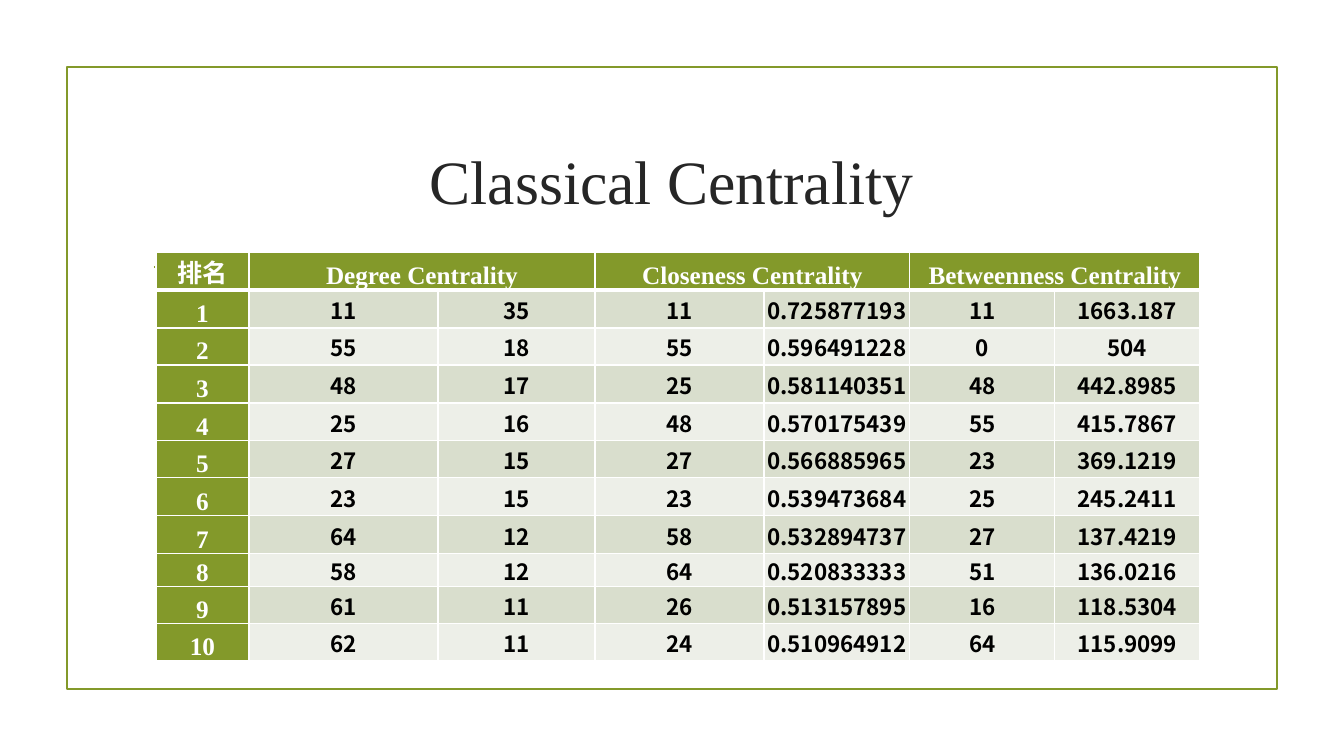
import pptx
import pptx.dml.color
import pptx.enum.shapes
import pptx.enum.text
import pptx.oxml
import pptx.oxml.ns
import pptx.util

PX = 914400 / 100.8
COLORS = {"green": "83992A", "dark": "262626", "white": "FFFFFF", "black": "000000",
          "odd": "D9DECD", "even": "EDEFE8"}
SERIF, SANS = "Times New Roman", "Noto Sans CJK SC"
MIDDLE = pptx.enum.text.MSO_ANCHOR.MIDDLE
BOTTOM = pptx.enum.text.MSO_ANCHOR.BOTTOM

HEADERS = ["排名", "Degree Centrality", "", "Closeness Centrality", "",
           "Betweenness Centrality", ""]
RANKING = [
    ["1", "11", "35", "11", "0.725877193", "11", "1663.187"],
    ["2", "55", "18", "55", "0.596491228", "0", "504"],
    ["3", "48", "17", "25", "0.581140351", "48", "442.8985"],
    ["4", "25", "16", "48", "0.570175439", "55", "415.7867"],
    ["5", "27", "15", "27", "0.566885965", "23", "369.1219"],
    ["6", "23", "15", "23", "0.539473684", "25", "245.2411"],
    ["7", "64", "12", "58", "0.532894737", "27", "137.4219"],
    ["8", "58", "12", "64", "0.520833333", "51", "136.0216"],
    ["9", "61", "11", "26", "0.513157895", "16", "118.5304"],
    ["10", "62", "11", "24", "0.510964912", "64", "115.9099"],
]
COLUMN_WIDTHS = [93, 189, 157, 169, 146, 145, 145]
ROW_HEIGHTS = [38, 38, 37, 38, 38, 37, 38, 38, 33, 37, 37]


def px(*lengths):
    return [pptx.util.Emu(round(length * PX)) for length in lengths]


def write_text(frame, text, *, size, font, color, bold=False):
    para = frame.paragraphs[0]
    para.alignment = pptx.enum.text.PP_ALIGN.CENTER
    span = para.add_run()
    span.text = text
    span.font.size = pptx.util.Pt(size)
    span.font.name = font
    span.font.bold = bold
    span.font.color.rgb = pptx.dml.color.RGBColor.from_string(COLORS[color])


deck = pptx.Presentation()
deck.slide_width, deck.slide_height = px(1344, 756)
page = deck.slides.add_slide(deck.slide_layouts[6])
green = pptx.dml.color.RGBColor.from_string(COLORS["green"])

border = page.shapes.add_shape(pptx.enum.shapes.MSO_SHAPE.RECTANGLE, *px(67, 67, 1210, 622))
border.shadow.inherit = False
border.fill.background()
rule = page.shapes.add_connector(pptx.enum.shapes.MSO_CONNECTOR.STRAIGHT,
                                 *px(154, 267, 1190, 267))
rule_properties = rule._element.spPr
for outlined in (border, rule):
    outlined.line.color.rgb = green
    outlined.line.width = pptx.util.Pt(1.25)
rule_properties.append(pptx.oxml.parse_xml(
    f'<a:effectLst {pptx.oxml.ns.nsdecls("a")}/>'))

title_box = page.shapes.add_textbox(*px(143, 108, 1058, 144))
title_box.text_frame.word_wrap = True
title_box.text_frame.vertical_anchor = MIDDLE
write_text(title_box.text_frame, "Classical Centrality", size=44, font=SERIF, color="dark")

table = page.shapes.add_table(
    len(ROW_HEIGHTS), len(COLUMN_WIDTHS),
    *px(156, 252, sum(COLUMN_WIDTHS), sum(ROW_HEIGHTS))).table
table.first_row = False
table.horz_banding = False
for column, width in zip(table.columns, px(*COLUMN_WIDTHS)):
    column.width = width
for row, height in zip(table.rows, px(*ROW_HEIGHTS)):
    row.height = height
for first in (1, 3, 5):
    table.cell(0, first).merge(table.cell(0, first + 1))

for r, values in enumerate([HEADERS] + RANKING):
    for c, value in enumerate(values):
        cell = table.cell(r, c)
        heading = r == 0 or c == 0
        cell.margin_left, cell.margin_right, cell.margin_top, cell.margin_bottom = px(1, 1, 1, 0)
        cell.vertical_anchor = BOTTOM if heading else MIDDLE

        cell_properties = cell._tc.get_or_add_tcPr()
        for side in "LRTB":
            thick = (r, side) in ((0, "B"), (1, "T"))
            cell_properties.append(pptx.oxml.parse_xml(
                f'<a:ln{side} {pptx.oxml.ns.nsdecls("a")} w="{pptx.util.Pt(3 if thick else 1)}">'
                f'<a:solidFill><a:srgbClr val="{COLORS["white"]}"/></a:solidFill></a:ln{side}>'))

        shade = "green" if heading else "odd" if r % 2 else "even"
        cell.fill.solid()
        cell.fill.fore_color.rgb = pptx.dml.color.RGBColor.from_string(COLORS[shade])
        if value:
            write_text(cell.text_frame, value, bold=True, size=18 if heading else 16,
                       font=SERIF if heading else SANS,
                       color="white" if heading else "black")

deck.save("out.pptx")
